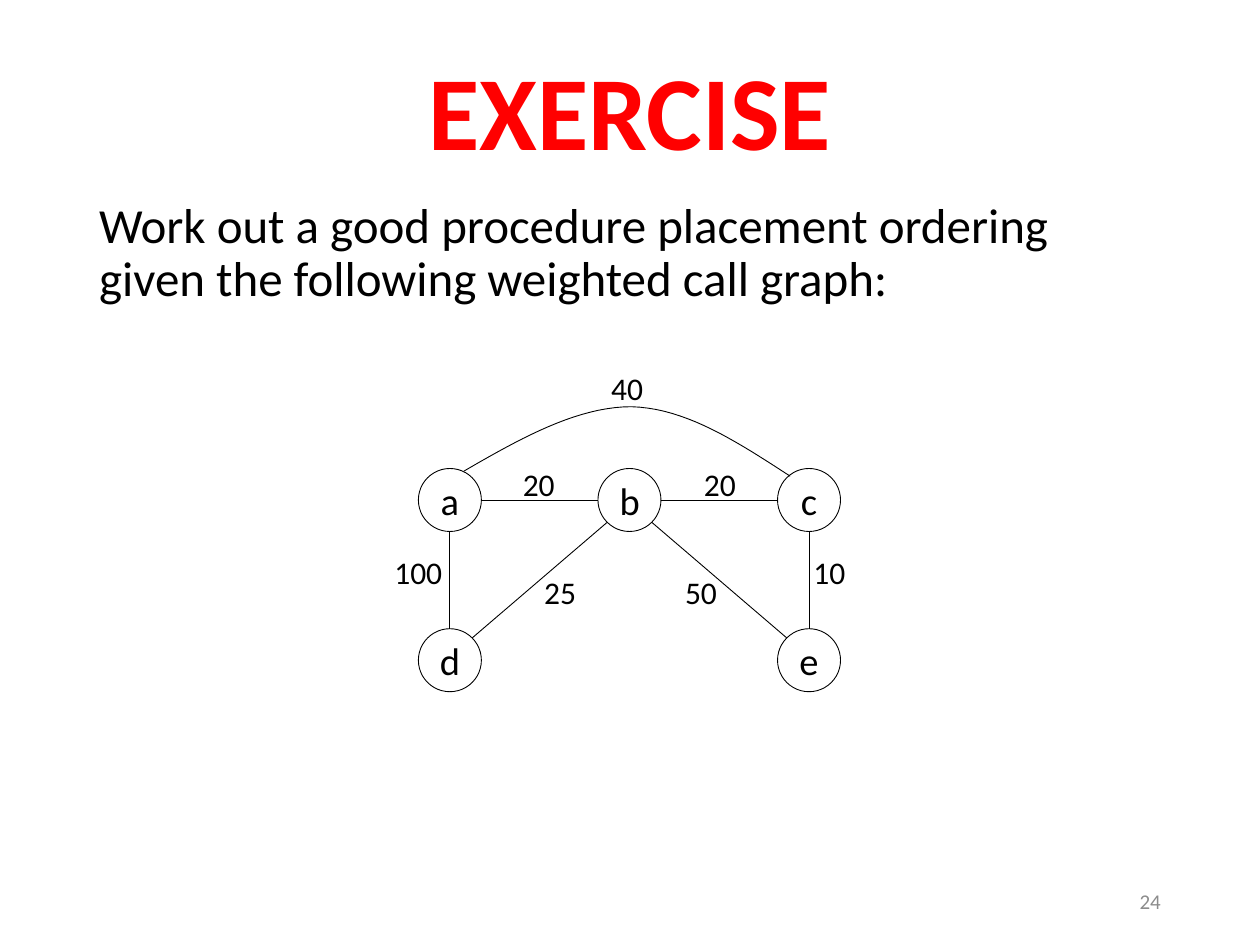
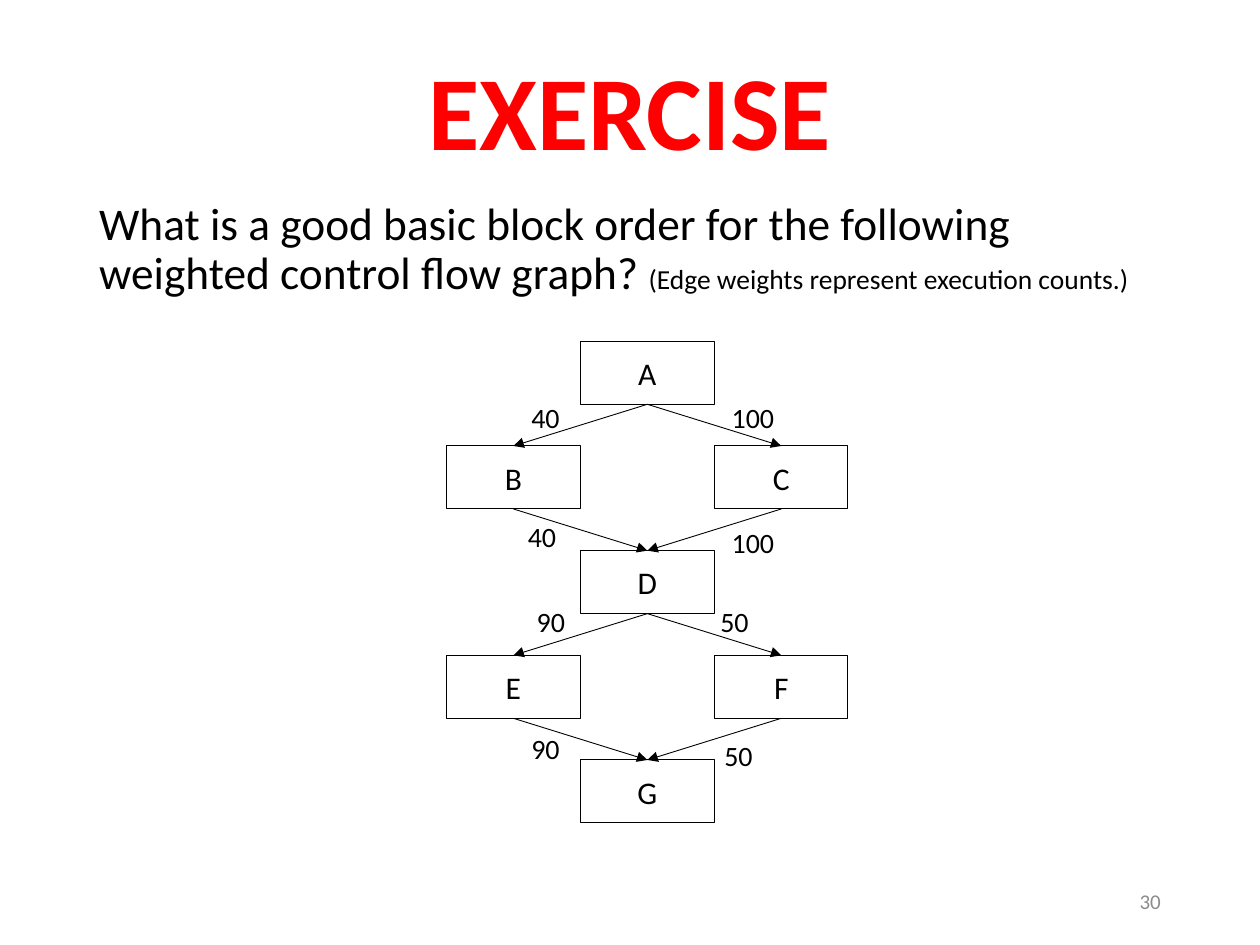
from dataclasses import dataclass
from math import cos, radians, sin

from pptx import Presentation
from pptx.dml.color import RGBColor
from pptx.enum.shapes import MSO_CONNECTOR, MSO_SHAPE
from pptx.enum.text import MSO_ANCHOR, MSO_AUTO_SIZE, PP_ALIGN
from pptx.oxml.ns import qn
from pptx.util import Cm, Pt
from lxml import etree


@dataclass(frozen=True)
class Theme:
    font: str = "Calibri"
    ink: RGBColor = RGBColor(0, 0, 0)
    title: RGBColor = RGBColor(255, 0, 0)
    muted: RGBColor = RGBColor(0x8C, 0x8C, 0x8C)
    title_size: float = 60
    number_size: float = 12
    node_size: float = 22
    block_size: float = 18
    line_width: float = 0.5


THEME = Theme()
TOP, BOTTOM = 0, 2  # connection sites of a rectangle
MARGIN, CONTENT_WIDTH = 1.75, 21.9

# Call graph: circle centres on a grid, edges leave the rim at an angle
RADIUS = 0.635
COLUMNS, ROWS = (9.07, 12.69, 16.31), (10.08, 13.31)
NODES = {"a": (0, 0), "b": (1, 0), "c": (2, 0), "d": (0, 1), "e": (2, 1)}
CALLS = [("a", 0, "b", 180), ("b", 0, "c", 180), ("a", 90, "d", 270),
         ("c", 90, "e", 270), ("b", 135, "d", 315), ("b", 45, "e", 225)]
CALL_WEIGHTS = [("20", 10.29, 9.25), ("20", 13.94, 9.25), ("40", 12.07, 7.32),
                ("100", 7.70, 11.02), ("10", 16.15, 11.02),
                ("25", 10.72, 11.43), ("50", 13.56, 11.43)]
ARC = [[(9.35, 9.50), (10.49, 8.84), (11.63, 8.20), (12.73, 8.20)],
       [(12.73, 8.20), (13.84, 8.23), (14.88, 8.92), (15.93, 9.60)]]

# Flow graph: (column, row) of every block, column 0 is the middle
BLOCK_W, BLOCK_H = 2.69, 1.27
MIDDLE, FIRST_ROW = 13.05, 6.88
COLUMN_STEP, ROW_STEP = 2.7, 2.11
BLOCKS = {"A": (0, 0), "B": (-1, 1), "C": (1, 1), "D": (0, 2),
          "E": (-1, 3), "F": (1, 3), "G": (0, 4)}
JUMPS = ["AB", "AC", "BD", "CD", "DE", "DF", "EG", "FG"]
JUMP_WEIGHTS = [("40", 10.46, 7.95), ("100", 14.50, 7.95),
                ("40", 10.39, 10.34), ("100", 14.50, 10.46),
                ("90", 10.57, 12.07), ("50", 14.27, 12.07),
                ("90", 10.46, 14.63), ("50", 14.35, 14.76)]


def add_text(p, text, size, color=THEME.ink, bold=False, align=None):
    """Append a formatted run to a paragraph."""
    r = p.add_run()
    r.text = text
    r.font.name, r.font.size, r.font.bold = THEME.font, Pt(size), bold
    r.font.color.rgb = color
    if align is not None:
        p.alignment = align


def add_box(s, x, y, w, h, wrap=True):
    tf = s.shapes.add_textbox(Cm(x), Cm(y), Cm(w), Cm(h)).text_frame
    tf.word_wrap = wrap
    return tf


def add_exercise(prs, question, number):
    """Slide with title, question (a list of text and size) and number."""
    s = prs.slides.add_slide(prs.slide_layouts[5])
    sp = s.shapes.title
    sp.left, sp.top = Cm(MARGIN), Cm(1.02)
    sp.width, sp.height = Cm(CONTENT_WIDTH), Cm(2.67)
    tf = sp.text_frame
    tf.auto_size, tf.vertical_anchor = MSO_AUTO_SIZE.NONE, MSO_ANCHOR.MIDDLE
    p = tf.paragraphs[0]
    p.line_spacing = 0.9
    add_text(p, "EXERCISE", THEME.title_size, color=THEME.title, bold=True,
             align=PP_ALIGN.CENTER)

    p = add_box(s, MARGIN, 3.94, CONTENT_WIDTH, 2.54).paragraphs[0]
    p.line_spacing, p.space_before, p.space_after = 0.9, Pt(10), Pt(12)
    for text, size in question:
        add_text(p, text, size)

    tf = add_box(s, 17.93, 17.65, 5.72, 1.02)
    tf.vertical_anchor = MSO_ANCHOR.MIDDLE
    add_text(tf.paragraphs[0], number, THEME.number_size, color=THEME.muted,
             align=PP_ALIGN.RIGHT)
    return s


def style_line(line):
    line.color.rgb, line.width = THEME.ink, Pt(THEME.line_width)


def add_node(s, kind, x, y, w, h, name, size):
    """Unfilled outlined shape with a centred name."""
    sp = s.shapes.add_shape(kind, Cm(x), Cm(y), Cm(w), Cm(h))
    sp.shadow.inherit = False
    sp.fill.background()
    style_line(sp.line)
    tf = sp.text_frame
    tf.vertical_anchor = MSO_ANCHOR.MIDDLE
    tf.margin_top = tf.margin_bottom = 0
    add_text(tf.paragraphs[0], name, size, align=PP_ALIGN.CENTER)
    return sp


def add_edge(s, start=(0, 0), end=(0, 0), arrow=False):
    cxn = s.shapes.add_connector(MSO_CONNECTOR.STRAIGHT,
                                 *map(Cm, start), *map(Cm, end))
    style_line(cxn.line)
    if arrow:
        etree.SubElement(cxn.line._get_or_add_ln(), qn("a:tailEnd"),
                         type="triangle")
    etree.SubElement(cxn._element.spPr, qn("a:effectLst"))
    return cxn


def add_weights(s, weights, size):
    """Edge labels; the box follows the number of digits."""
    for text, x, y in weights:
        w = (len(text) * 0.0179 * size) + 0.52
        tf = add_box(s, x, y, w, 0.94 if size < 18 else 1.02, wrap=False)
        tf.auto_size = MSO_AUTO_SIZE.SHAPE_TO_FIT_TEXT
        add_text(tf.paragraphs[0], text, size)


def bezier(curve, t):
    """Point of a cubic curve at t."""
    factors = ((1 - t) ** 3, 3 * t * (1 - t) ** 2, 3 * t * t * (1 - t), t ** 3)
    return tuple(Cm(sum(f * pt[i] for f, pt in zip(factors, curve)))
                 for i in (0, 1))


def add_arc(s, curves, steps=20):
    points = [bezier(c, i / steps) for c in curves for i in range(steps + 1)]
    fb = s.shapes.build_freeform(*points[0])
    fb.add_line_segments(points[1:], close=False)
    sp = fb.convert_to_shape()
    sp.shadow.inherit = False
    sp.fill.background()
    style_line(sp.line)


def rim(name, angle):
    """Point on a circle's edge, clockwise from the right."""
    column, row = NODES[name]
    a = radians(angle)
    return (COLUMNS[column] + RADIUS * cos(a), ROWS[row] + RADIUS * sin(a))


def add_call_graph(s):
    for name, (column, row) in NODES.items():
        add_node(s, MSO_SHAPE.OVAL, COLUMNS[column] - RADIUS,
                 ROWS[row] - RADIUS, 2 * RADIUS, 2 * RADIUS, name,
                 THEME.node_size)
    for caller, out, callee, into in CALLS:
        add_edge(s, rim(caller, out), rim(callee, into))
    add_arc(s, ARC)
    add_weights(s, CALL_WEIGHTS, 18)


def add_flow_graph(s):
    blocks = {}
    for name, (column, row) in BLOCKS.items():
        blocks[name] = add_node(
            s, MSO_SHAPE.RECTANGLE,
            MIDDLE + column * COLUMN_STEP - BLOCK_W / 2,
            FIRST_ROW + row * ROW_STEP, BLOCK_W, BLOCK_H, name,
            THEME.block_size)
    for source, target in JUMPS:
        cxn = add_edge(s, arrow=True)
        cxn.begin_connect(blocks[source], BOTTOM)
        cxn.end_connect(blocks[target], TOP)
    add_weights(s, JUMP_WEIGHTS, 16)


def main():
    prs = Presentation()
    prs.slide_width, prs.slide_height = Cm(25.4), Cm(19.05)

    # Procedure placement
    s = add_exercise(prs, [("Work out a good procedure placement ordering "
                            "given the following weighted call graph:", 28)],
                     "24")
    add_call_graph(s)

    # Basic block order
    s = add_exercise(prs, [("What is a good basic block order for the "
                            "following weighted control flow graph? ", 25.9),
                           ("(Edge weights represent execution counts.)",
                            15.7)], "30")
    add_flow_graph(s)
    prs.save("out.pptx")


if __name__ == "__main__":
    main()
